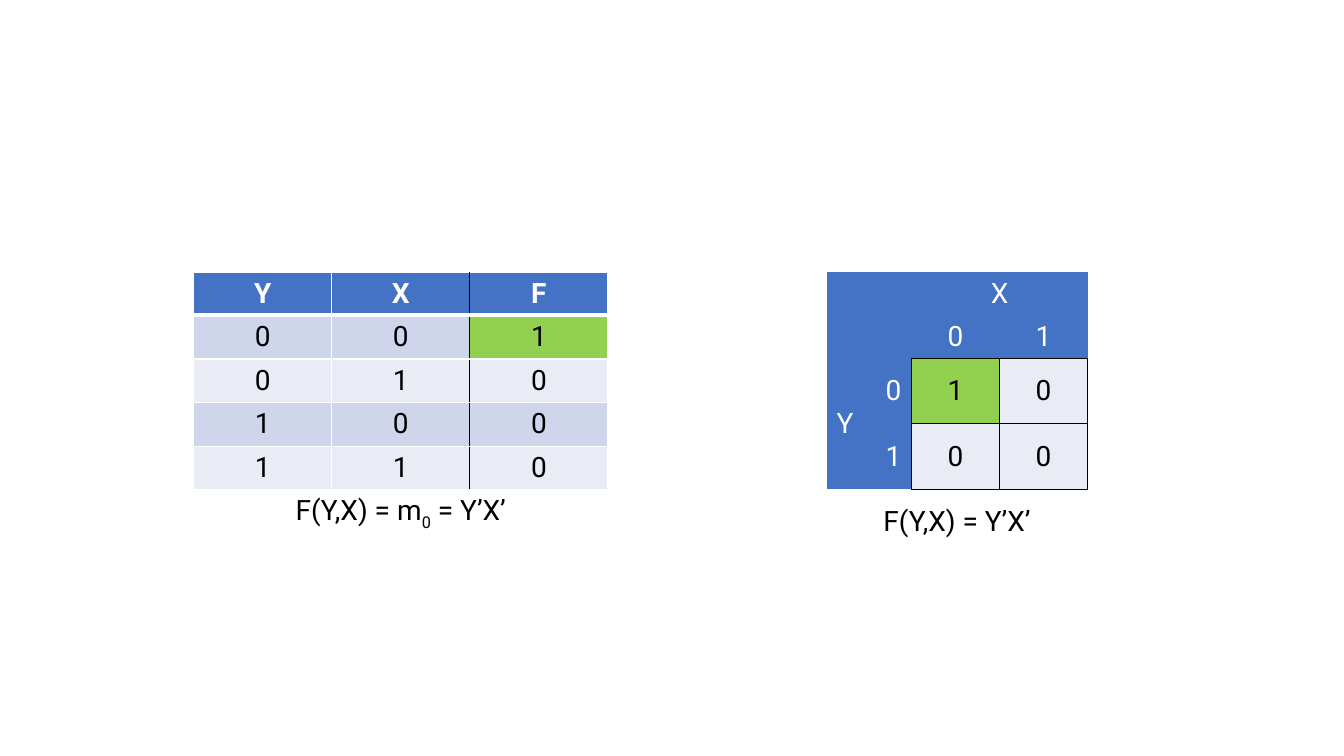
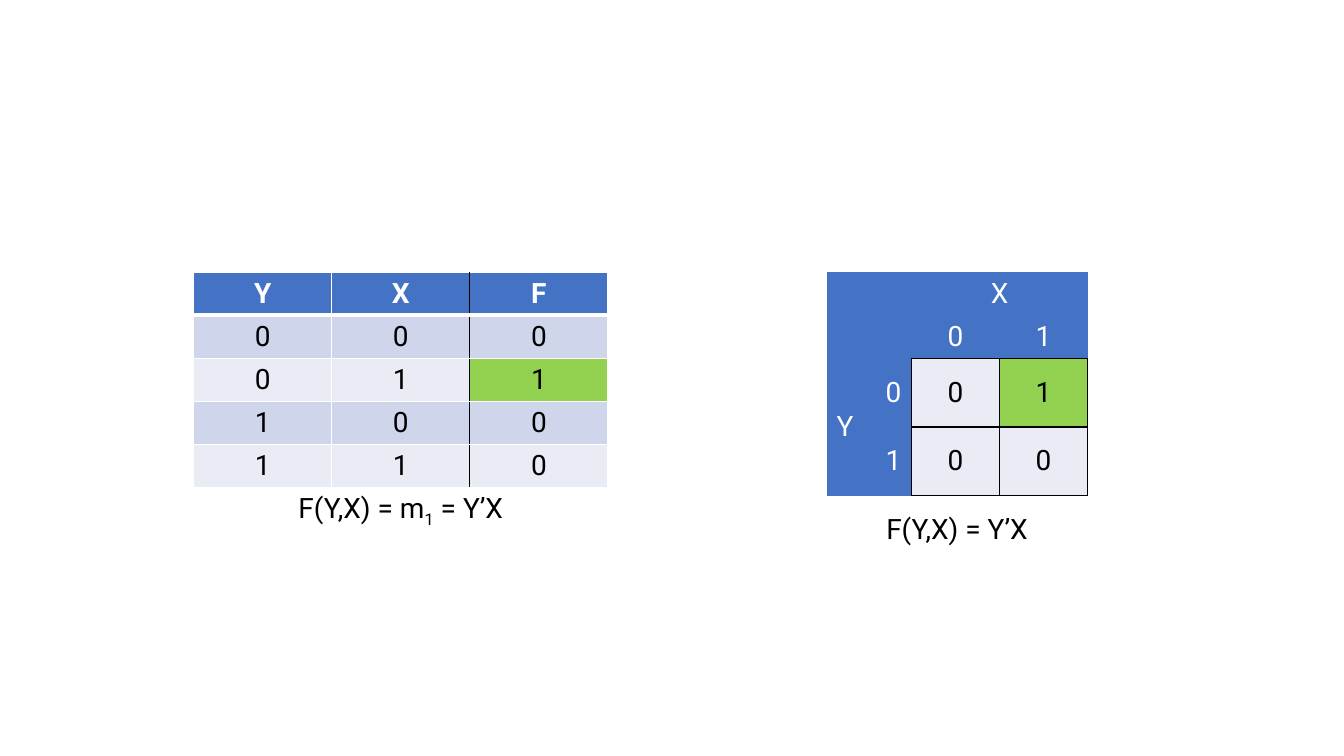
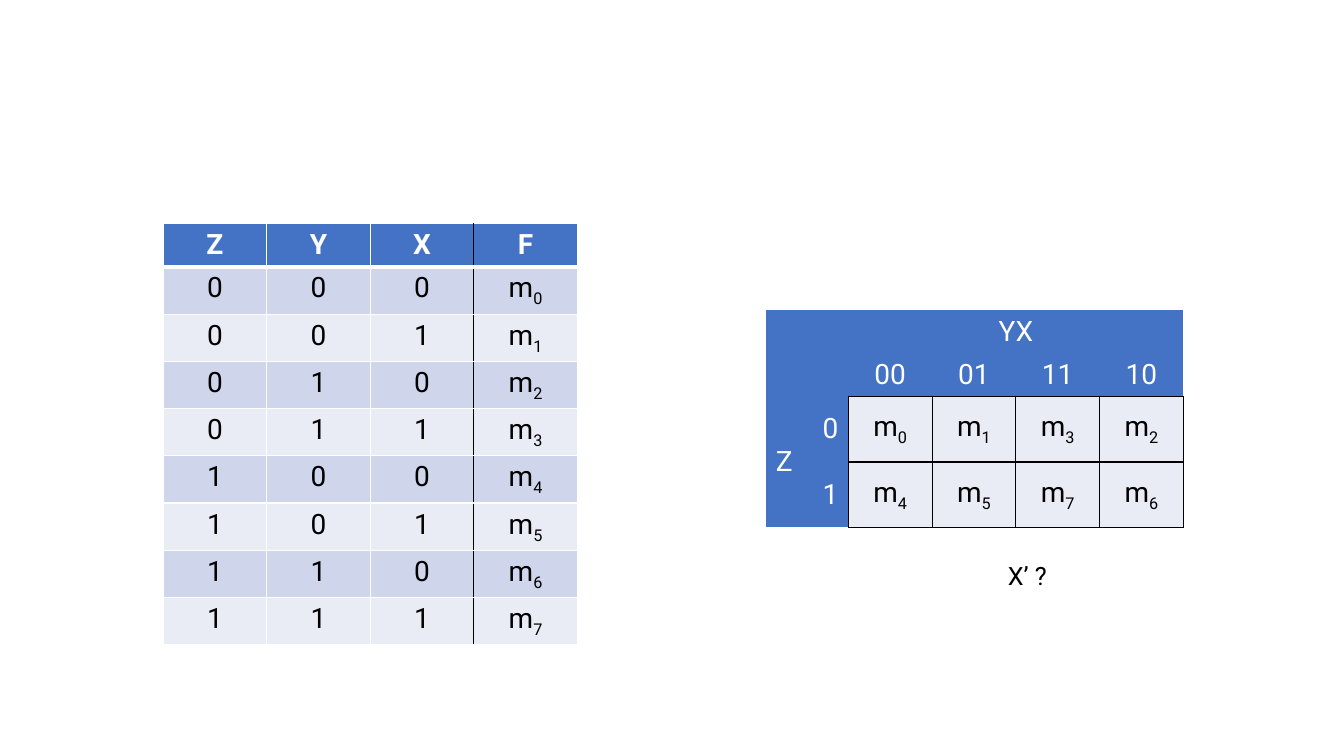
from itertools import product

from lxml import etree
from pptx import Presentation
from pptx import util as u
from pptx.dml.color import RGBColor
from pptx.enum import text
from pptx.oxml.ns import qn

BLUE, GREEN, WHITE, BLACK = "4472C4", "92D050", "FFFFFF", "000000"
BAND_DARK, BAND_LIGHT = "CFD5EA", "E9EBF5"
FONT = "Roboto"
PLAIN_STYLE = "{2D5ABB26-0587-4C30-8999-92F81FD0307C}"
LEFT, CENTER, RIGHT = text.PP_ALIGN.LEFT, text.PP_ALIGN.CENTER, text.PP_ALIGN.RIGHT
TOP, MIDDLE, BOTTOM = text.MSO_ANCHOR.TOP, text.MSO_ANCHOR.MIDDLE, text.MSO_ANCHOR.BOTTOM
ROW_H = 1.08


def color(value):
    return RGBColor.from_string(value)


def write(tf, content, align=CENTER, size=20, ink=BLACK, bold=False):
    """Write one paragraph; the character after each underscore is a subscript."""
    p = tf.paragraphs[0]
    p.alignment = align
    first, *rest = content.split("_")
    pieces = [(first, False)]
    for part in rest:
        pieces += [(part[0], True), (part[1:], False)]
    for piece, lowered in pieces:
        if not piece:
            continue
        r = p.add_run()
        r.text = piece
        for name, value in {"name": FONT, "size": u.Pt(size), "bold": bold}.items():
            setattr(r.font, name, value)
        r.font.color.rgb = color(ink)
        if lowered:
            r.font._element.set("baseline", "-25000")


def set_borders(cell, borders):
    """Borders map a side to (colour, points), or to None for no line."""
    tcPr = cell._tc.get_or_add_tcPr()
    for side in "LRTB":
        if side not in borders:
            continue
        ln = etree.SubElement(tcPr, qn(f"a:ln{side}"))
        if borders[side] is None:
            etree.SubElement(ln, qn("a:noFill"))
            continue
        ink, points = borders[side]
        ln.set("w", str(u.Pt(points)))
        fill = etree.SubElement(ln, qn("a:solidFill"))
        etree.SubElement(fill, qn("a:srgbClr")).set("val", ink)


def set_cell(cell, content="", fill=None, borders=None, anchor=TOP, **style):
    set_borders(cell, borders or {})
    if fill:
        cell.fill.solid()
        cell.fill.fore_color.rgb = color(fill)
    else:
        cell.fill.background()
    cell.vertical_anchor = anchor
    if content:
        write(cell.text_frame, content, **style)


def add_grid(s, left, top, widths, heights):
    """Add a plain table with the given column widths and row heights."""
    frame = s.shapes.add_table(len(heights), len(widths), u.Cm(left), u.Cm(top),
                               u.Cm(sum(widths)), u.Cm(sum(heights)))
    tbl = frame.table
    tbl.first_row = tbl.horz_banding = False
    tbl._tbl.tblPr.find(qn("a:tableStyleId")).text = PLAIN_STYLE
    for col, width in zip(tbl.columns, widths):
        col.width = u.Cm(width)
    for row, height in zip(tbl.rows, heights):
        row.height = u.Cm(height)
    return tbl


def truth_table(s, box, names, outputs, row_h, caption=None):
    """Every input combination in order, with the output in the last column."""
    left, top, width = box
    n = len(names)
    rows = [[*names, "F"]]
    rows += [[*bits, f] for bits, f in zip(product("01", repeat=n), outputs)]
    heights = [ROW_H] + [row_h] * len(outputs) + [row_h] * bool(caption)
    tbl = add_grid(s, left, top, [width / (n + 1)] * (n + 1), heights)

    for i, row in enumerate(rows):
        for j, value in enumerate(row):
            borders = dict.fromkeys("LRTB", (WHITE, 1))
            if i < 2:
                borders["TB"[i == 0]] = (WHITE, 3)
            if j >= n - 1:
                borders["R" if j == n - 1 else "L"] = (BLACK, 1)
            fill = BLUE if i == 0 else BAND_DARK if i % 2 else BAND_LIGHT
            if j == n and value == "1":
                fill = GREEN
            set_cell(tbl.cell(i, j), value, fill, borders,
                     ink=BLACK if i else WHITE, bold=i == 0)

    if caption:
        last = len(rows)
        tbl.cell(last, 0).merge(tbl.cell(last, n))
        set_cell(tbl.cell(last, 0), caption)


def karnaugh_map(s, box, label_w, row_h, across, down, codes, values, caption=None):
    """Two header rows, two label columns, then the map cells."""
    left, top, width = box
    n = len(codes)
    widths = label_w + [(width - sum(label_w)) / n] * n
    heights = [ROW_H] * 2 + [row_h] * (2 + bool(caption))
    tbl = add_grid(s, left, top, widths, heights)
    line = (BLACK, 1)

    # Headers across the top
    for i, j in product(range(2), range(n + 2)):
        content = codes[j - 2] if i and j > 1 else across if j == 2 else ""
        set_cell(tbl.cell(i, j), content, BLUE,
                 {"B": line} if i and j > 1 else None, BOTTOM, ink=WHITE)
    tbl.cell(0, 2).merge(tbl.cell(0, n + 1))

    # Labels at the left, and map cells
    for i, row in enumerate(values):
        set_cell(tbl.cell(i + 2, 0), "" if i else down, BLUE, None, MIDDLE,
                 align=LEFT, ink=WHITE)
        set_cell(tbl.cell(i + 2, 1), str(i), BLUE, {"R": line}, MIDDLE,
                 align=RIGHT, ink=WHITE)
        for j, value in enumerate(row):
            set_cell(tbl.cell(i + 2, j + 2), value,
                     GREEN if value == "1" else BAND_LIGHT,
                     dict.fromkeys("LRTB", line), MIDDLE)
    tbl.cell(2, 0).merge(tbl.cell(3, 0))

    if caption:
        for j in range(n + 2):
            set_cell(tbl.cell(4, j), "" if j else caption, None,
                     {"T": None}, MIDDLE)
        tbl.cell(4, 0).merge(tbl.cell(4, n + 1))


def minterm_slide(s, index, term, table_row_h, map_row_h):
    """Two-variable function made of a single minterm."""
    outputs = ["1" if i == index else "0" for i in range(4)]
    truth_table(s, (4.88, 6.86, 10.44), "YX", outputs, table_row_h,
                f"F(Y,X) = m_{index} = {term}")
    karnaugh_map(s, (20.83, 6.86, 6.58), [1.08, 1.06], map_row_h, "X", "Y", "01",
                 [outputs[:2], outputs[2:]], f"F(Y,X) = {term}")


def numbering_slide(s):
    """Three-variable minterm numbers and their places in the map."""
    minterms = [f"m_{i}" for i in range(8)]
    codes = ["00", "01", "11", "10"]
    truth_table(s, (4.11, 5.64, 10.44), "ZYX", minterms, 1.19)
    places = [[minterms[4 * z + int(code, 2)] for code in codes] for z in range(2)]
    karnaugh_map(s, (19.3, 7.82, 10.52), [1.09, 0.99], 1.65, "YX", "Z", codes, places)

    # Question under the map
    tb = s.shapes.add_textbox(u.Cm(25.15), u.Cm(14), u.Cm(2.08), u.Cm(1.02))
    tb.text_frame.word_wrap = True
    write(tb.text_frame, "X’ ?", align=LEFT, size=18)


def main():
    prs = Presentation()
    prs.slide_width, prs.slide_height = u.Cm(33.87), u.Cm(19.05)
    blank = prs.slide_layouts[6]
    minterm_slide(prs.slides.add_slide(blank), 0, "Y’X’", 1.1, 1.65)
    minterm_slide(prs.slides.add_slide(blank), 1, "Y’X", 1.08, 1.73)
    numbering_slide(prs.slides.add_slide(blank))
    prs.save("out.pptx")


if __name__ == "__main__":
    main()
